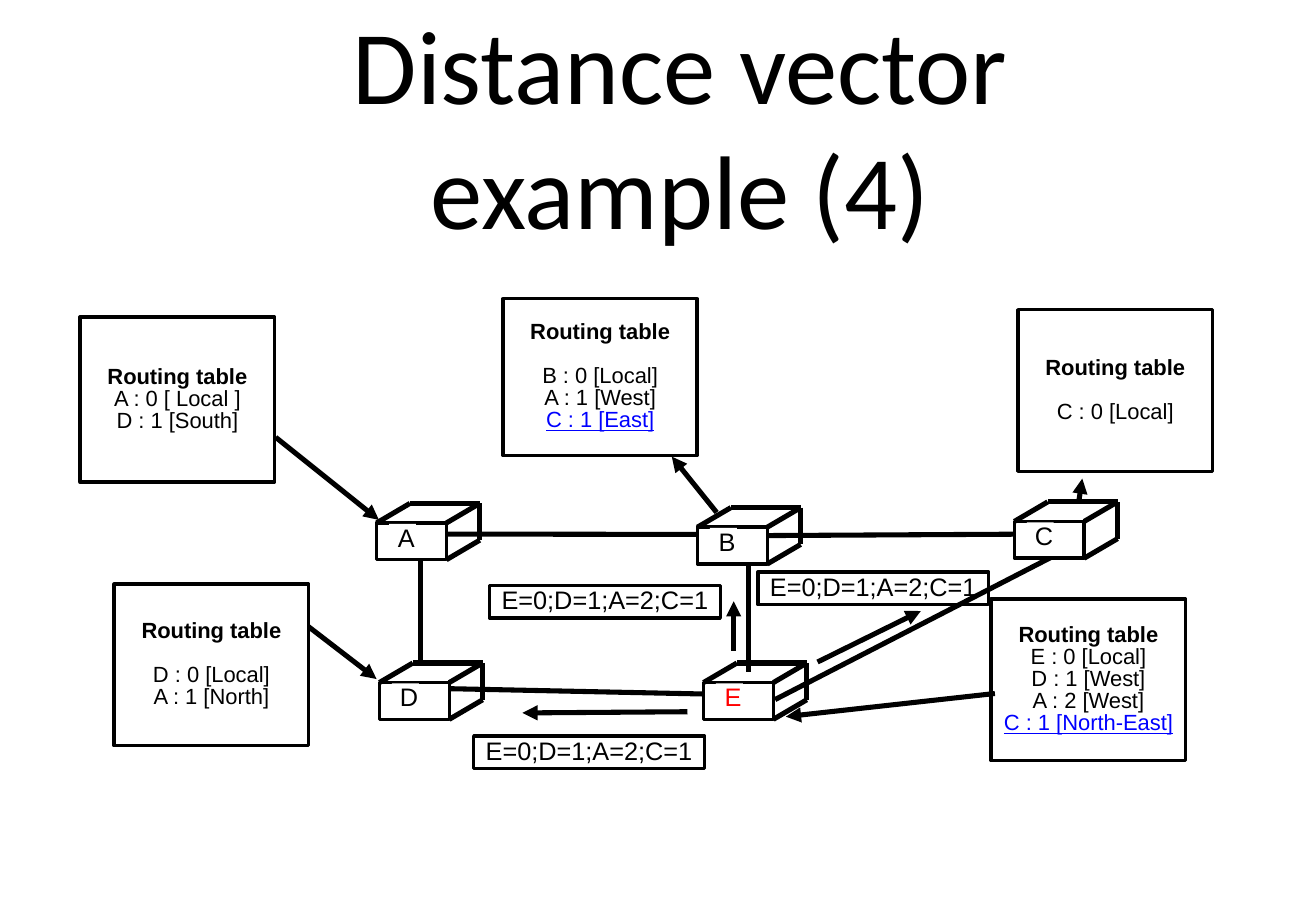
from dataclasses import dataclass

from lxml.etree import SubElement
from pptx import Presentation
from pptx.dml.color import RGBColor
from pptx.enum.shapes import MSO_CONNECTOR as Connector, MSO_SHAPE as Preset
from pptx.enum.text import MSO_ANCHOR as Anchor, MSO_AUTO_SIZE as AutoSize, PP_ALIGN as Align
from pptx.oxml.ns import qn
from pptx.util import Pt

COLORS = {"ink": "000000", "paper": "FFFFFF", "updated": "0000FF", "sender": "FF0000"}
FRAME_LINE, EDGE_LINE = 2, 3
TABLE_WIDTH, ADVERT_SIZE = 115.2, (136.8, 19.4)
FACE_WIDTH, FACE_HEIGHT = 41.4, 21.8
DEPTH_X, DEPTH_Y = 19.8, -11.6
ADVERT = "E=0;D=1;A=2;C=1"

Point = tuple[float, float]


@dataclass
class Router:
    name: str
    left: float
    top: float
    color: str = "ink"


@dataclass
class RoutingTable:
    left: float
    top: float
    height: float
    routes: list[str]
    heading_gap: float = 0
    updated: str = ""


@dataclass
class Line:
    start: Point
    end: Point


ROUTERS = [
    Router("A", 223.2, 310),
    Router("B", 413.4, 312.5),
    Router("C", 601.2, 309.1),
    Router("D", 224.9, 404.6),
    Router("E", 417, 404.6, "sender"),
]
TABLES = [
    RoutingTable(47.5, 187.9, 97.9, ["A : 0 [ Local ]", "D : 1 [South]"]),
    RoutingTable(298.1, 177.1, 92.9, ["B : 0 [Local]", "A : 1 [West]"], 13, "C : 1 [East]"),
    RoutingTable(603.4, 183.6, 95.8, ["C : 0 [Local]"], 13),
    RoutingTable(587.5, 355, 95.8, ["E : 0 [Local]", "D : 1 [West]", "A : 2 [West]"],
                 updated="C : 1 [North-East]"),
    RoutingTable(67.7, 346.3, 95.8, ["D : 0 [Local]", "A : 1 [North]"], 13),
]
LINKS = [
    Line((249.1, 330.5), (249.1, 393.1)),
    Line((265, 408.2), (437, 411.8)),
    Line((262.1, 316.6), (435.6, 316.8)),
    Line((443.5, 329.8), (443.5, 398.2)),
    Line((459.4, 414.7), (622.8, 330.5)),
    Line((451.4, 317.5), (614.9, 316.6)),
]
ARROWS = [
    # Between routers and their tables
    Line((163.4, 259.2), (224.6, 308.2)),
    Line((424.8, 303.8), (398.2, 270.7)),
    Line((639.4, 297.4), (641.5, 283.7)),
    Line((182.9, 371.5), (223.2, 402.5)),
    Line((589.7, 411.1), (465.8, 424.8)),
    # Directions of the advertisements
    Line((407.5, 421.9), (309.6, 422.6)),
    Line((434.9, 385.9), (434.9, 356.4)),
    Line((484.6, 392.4), (545.8, 362.2)),
]
ADVERTS = [(280.8, 436.3), (290.2, 347), (449.3, 339.1)]


def rgb(color: str) -> RGBColor:
    return RGBColor.from_string(COLORS[color])


def apply(target, formats: dict) -> None:
    for attribute, value in formats.items():
        setattr(target, attribute, value)


def write(paragraph, text: str, size: float, color: str = "ink", gap: float = 0, **formats) -> None:
    apply(paragraph, {"alignment": Align.CENTER, "line_spacing": 0.84, "space_before": Pt(gap)})
    run = paragraph.add_run()
    run.text = text
    apply(run.font, {"name": "Arial", "size": Pt(size), **formats})
    run.font.color.rgb = rgb(color)


def add_box(slide, left: float, top: float, width: float, height: float,
            fill: str = "", outlined: bool = True):
    box = slide.shapes.add_shape(Preset.RECTANGLE, Pt(left), Pt(top), Pt(width), Pt(height))
    box.shadow.inherit = False
    if fill:
        box.fill.solid()
        box.fill.fore_color.rgb = rgb(fill)
    else:
        box.fill.background()
    if outlined:
        box.line.color.rgb = rgb("ink")
        box.line.width = Pt(FRAME_LINE)
    else:
        box.line.fill.background()
    apply(box.text_frame, {"margin_left": 0, "margin_right": 0, "margin_top": 0,
                           "margin_bottom": 0, "vertical_anchor": Anchor.MIDDLE})
    return box


def add_line(slide, line: Line, arrow: bool = False) -> None:
    ends = [Pt(length) for length in (*line.start, *line.end)]
    connector = slide.shapes.add_connector(Connector.STRAIGHT, *ends)
    connector.line.color.rgb = rgb("ink")
    connector.line.width = Pt(EDGE_LINE)
    if arrow:
        SubElement(connector.line._get_or_add_ln(), qn("a:tailEnd"), type="triangle")
    SubElement(connector._element.spPr, qn("a:effectLst"))


def add_router(slide, router: Router) -> None:
    left, top = router.left, router.top
    right, bottom = left + FACE_WIDTH, top + FACE_HEIGHT
    add_box(slide, left, top, FACE_WIDTH, FACE_HEIGHT, "paper")

    # Receding edges, then the back edges that join them
    corners = [(left, top), (right, top), (right, bottom)]
    back = [(x + DEPTH_X, y + DEPTH_Y) for x, y in corners]
    for start, end in [*zip(corners, back), *zip(back, back[1:])]:
        add_line(slide, Line(start, end))

    label = add_box(slide, left + 7.4, top + 0.5, 16, 18.7, "paper", outlined=False)
    apply(label.text_frame, {"word_wrap": False, "margin_left": Pt(4.4)})
    write(label.text_frame.paragraphs[0], router.name, 15, router.color)


def add_routing_table(slide, table: RoutingTable) -> None:
    text = add_box(slide, table.left, table.top, TABLE_WIDTH, table.height).text_frame
    write(text.paragraphs[0], "Routing table", 13, bold=True)
    for index, route in enumerate(table.routes):
        write(text.add_paragraph(), route, 13, gap=0 if index else table.heading_gap)
    if table.updated:
        write(text.add_paragraph(), table.updated, 13, "updated", underline=True)


def add_title(slide) -> None:
    title = slide.shapes.title
    apply(title, {"left": Pt(170), "top": Pt(26.6), "width": Pt(466.6), "height": Pt(95)})
    text = title.text_frame
    text.text = "Distance vector\vexample (4)"
    apply(text, {"auto_size": AutoSize.NONE, "word_wrap": True, "vertical_anchor": Anchor.MIDDLE})
    for side in ("left", "right", "top", "bottom"):
        setattr(text, f"margin_{side}", Pt(2.9))
    heading = text.paragraphs[0]
    heading.alignment = Align.CENTER
    apply(heading.font, {"name": "Calibri", "size": Pt(62)})
    heading.font.color.rgb = rgb("ink")


def main() -> None:
    deck = Presentation()
    apply(deck, {"slide_width": Pt(780), "slide_height": Pt(540)})
    slide = deck.slides.add_slide(deck.slide_layouts[5])
    add_title(slide)

    # Network
    for link in LINKS:
        add_line(slide, link)
    for router in ROUTERS:
        add_router(slide, router)

    # Routing tables and advertised vectors
    for table in TABLES:
        add_routing_table(slide, table)
    for left, top in ADVERTS:
        advert = add_box(slide, left, top, *ADVERT_SIZE)
        write(advert.text_frame.paragraphs[0], ADVERT, 15)
    for arrow in ARROWS:
        add_line(slide, arrow, arrow=True)

    deck.save("out.pptx")


if __name__ == "__main__":
    main()
